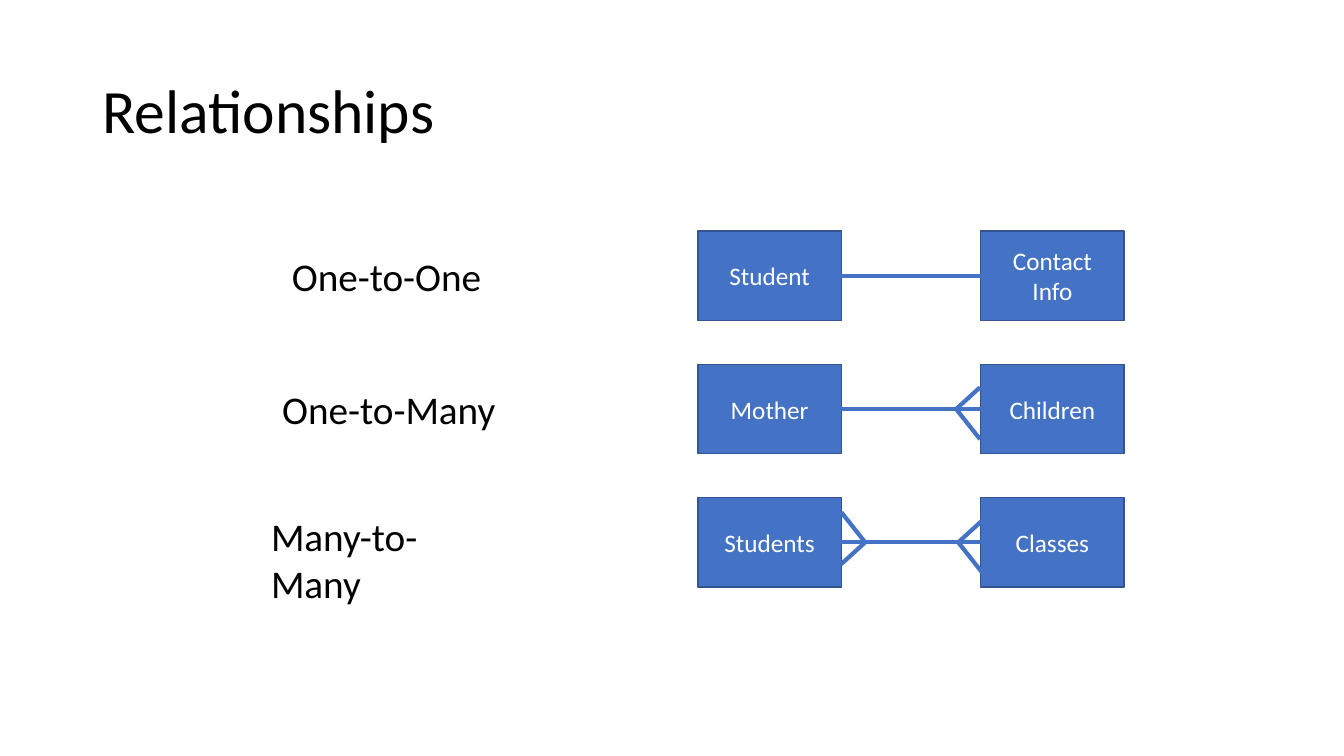
"""Build the Relationships slide with three cardinality diagrams."""
import dataclasses

import lxml.etree
import pptx
import pptx.dml.color
import pptx.enum.shapes
import pptx.enum.text
import pptx.oxml.ns
import pptx.util

Pt = pptx.util.Pt
BLUE, DARK_BLUE, BLACK, WHITE = "4472C4", "325491", "000000", "FFFFFF"
ENTITY_WIDTH, ENTITY_HEIGHT = 102.5, 64
LEFT_ENTITY_X, RIGHT_ENTITY_X = 498.5, 700.5
FIRST_ROW_Y, ROW_PITCH = 165, 95.2
TOE_REACH, SHORT_TOE, LONG_TOE = 17, 15.5, 21.5
LABEL_HEIGHT = 41


@dataclasses.dataclass(frozen=True)
class CrowFoot:
    apex_x: float
    direction: int


@dataclasses.dataclass(frozen=True)
class Relationship:
    label: str
    label_x: float
    label_y: float
    label_width: float
    left_entity: str
    right_entity: str
    feet: tuple[CrowFoot, ...] = ()
    label_wraps: bool = False


RELATIONSHIPS = (
    Relationship("One-to-One", 201.5, 176.5, 152, "Student", "Contact Info"),
    Relationship("One-to-Many", 194.5, 272, 167, "Mother", "Children",
                 (CrowFoot(683, 1),)),
    Relationship("Many-to-Many", 186.5, 362.5, 176, "Students", "Classes",
                 (CrowFoot(684.5, 1), CrowFoot(618, -1)), True),
)


def rgb(value: str) -> pptx.dml.color.RGBColor:
    """Turn a hex string into a colour."""
    return pptx.dml.color.RGBColor.from_string(value)


def write(frame, text: str, *, size: float, color: str = BLACK, align=None,
          anchor=pptx.enum.text.MSO_ANCHOR.TOP, wrap: bool = True,
          spacing: float = 1.0) -> None:
    """Put formatted text into a text frame."""
    frame.word_wrap = wrap
    frame.vertical_anchor = anchor
    paragraph = frame.paragraphs[0]
    paragraph.alignment = align
    paragraph.line_spacing = spacing
    run = paragraph.add_run()
    run.text = text
    run.font.size = Pt(size)
    run.font.name = "Calibri"
    run.font.color.rgb = rgb(color)


def add_entity(slide, name: str, x: float, y: float):
    """Draw one entity box and return it."""
    entity = slide.shapes.add_shape(
        pptx.enum.shapes.MSO_SHAPE.RECTANGLE,
        Pt(x), Pt(y), Pt(ENTITY_WIDTH), Pt(ENTITY_HEIGHT))
    entity.shadow.inherit = False
    entity.fill.solid()
    entity.fill.fore_color.rgb = rgb(BLUE)
    entity.line.color.rgb = rgb(DARK_BLUE)
    entity.line.width = Pt(1)
    write(entity.text_frame, name, size=18, color=WHITE,
          align=pptx.enum.text.PP_ALIGN.CENTER,
          anchor=pptx.enum.text.MSO_ANCHOR.MIDDLE)
    return entity


def add_line(slide, x1: float, y1: float, x2: float, y2: float):
    """Draw one straight relationship line and return it."""
    line = slide.shapes.add_connector(
        pptx.enum.shapes.MSO_CONNECTOR.STRAIGHT, Pt(x1), Pt(y1), Pt(x2), Pt(y2))
    line.line.color.rgb = rgb(BLUE)
    line.line.width = Pt(3)
    lxml.etree.SubElement(line._element.spPr, pptx.oxml.ns.qn("a:effectLst"))
    return line


def add_crow_foot(slide, foot: CrowFoot, middle: float) -> None:
    """Draw the two slanted toes that mark a many side."""
    toe_x = foot.apex_x + foot.direction * TOE_REACH
    for offset in (-SHORT_TOE, LONG_TOE):
        add_line(slide, foot.apex_x, middle, toe_x, middle + foot.direction * offset)


def add_relationship(slide, relationship: Relationship, y: float) -> None:
    """Draw a label, its two entities and the line between them."""
    label = slide.shapes.add_textbox(
        Pt(relationship.label_x), Pt(relationship.label_y),
        Pt(relationship.label_width), Pt(LABEL_HEIGHT))
    write(label.text_frame, relationship.label, size=28,
          wrap=relationship.label_wraps)
    left = add_entity(slide, relationship.left_entity, LEFT_ENTITY_X, y)
    right = add_entity(slide, relationship.right_entity, RIGHT_ENTITY_X, y)
    middle = y + ENTITY_HEIGHT / 2
    link = add_line(slide, LEFT_ENTITY_X + ENTITY_WIDTH, middle, RIGHT_ENTITY_X, middle)
    link.begin_connect(left, 3)
    link.end_connect(right, 1)
    for foot in relationship.feet:
        add_crow_foot(slide, foot, middle)


def main() -> None:
    """Create the presentation and save it."""
    presentation = pptx.Presentation()
    presentation.slide_width, presentation.slide_height = Pt(960), Pt(540)
    slide = presentation.slides.add_slide(presentation.slide_layouts[6])
    title = slide.shapes.add_textbox(Pt(66), Pt(28.8), Pt(828), Pt(104.4))
    write(title.text_frame, "Relationships", size=44, spacing=0.9,
          anchor=pptx.enum.text.MSO_ANCHOR.MIDDLE)
    for row, relationship in enumerate(RELATIONSHIPS):
        add_relationship(slide, relationship, FIRST_ROW_Y + row * ROW_PITCH)
    presentation.save("out.pptx")


if __name__ == "__main__":
    main()
